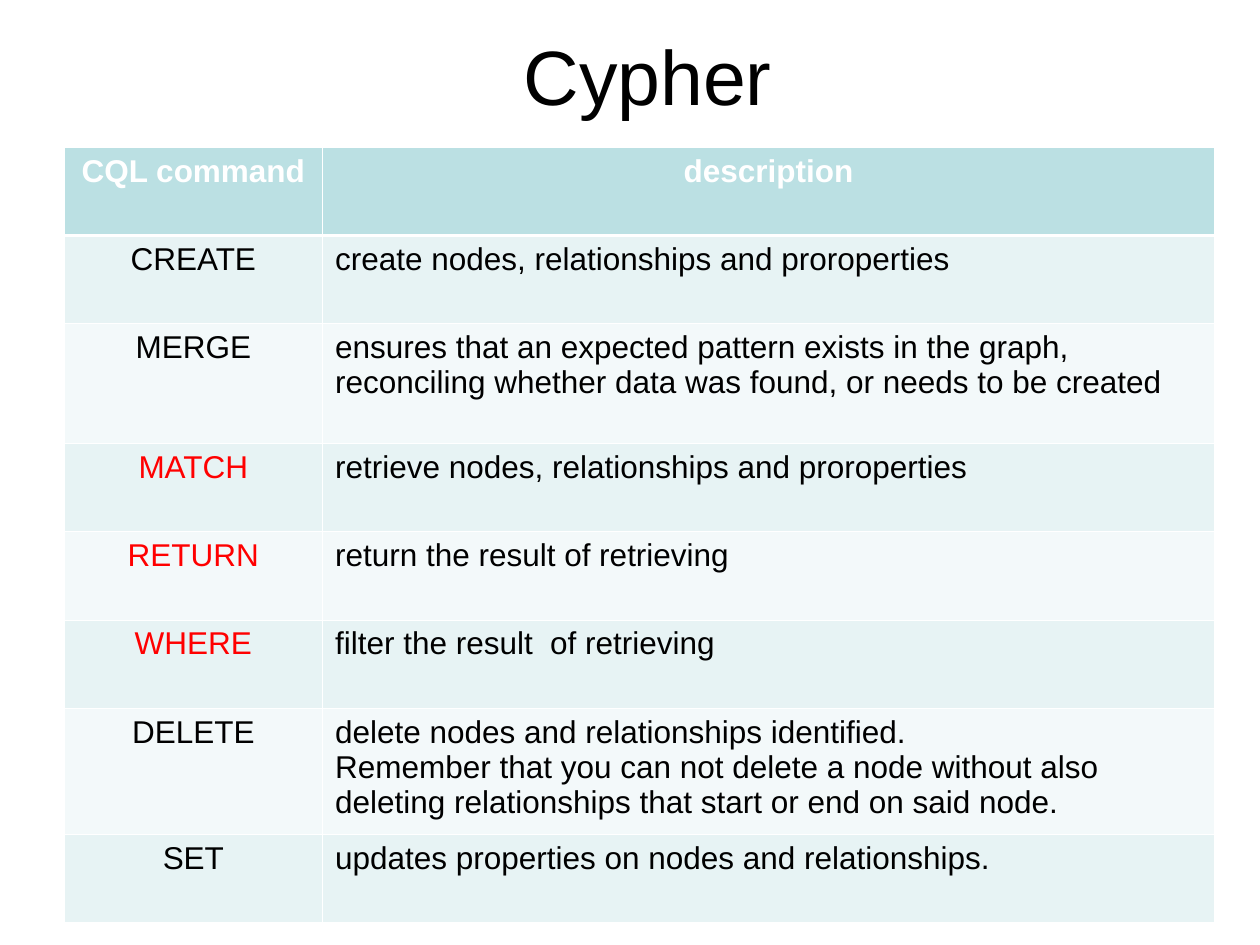
import pptx
import pptx.dml.color
import pptx.enum.text
import pptx.oxml
import pptx.oxml.ns
import pptx.util
from pptx.util import Inches

COLORS = {
    "black": "000000",
    "white": "FFFFFF",
    "red": "FF0000",
    "head": "BBE0E3",
    "odd": "E7F3F4",
    "even": "F3F9FA",
}
HEADS = ["CQL command", "description"]
COMMANDS = [
    ("CREATE", ["create nodes, relationships and proroperties"]),
    ("MERGE", ["ensures that an expected pattern exists in the graph, "
               "reconciling whether data was found, or needs to be created"]),
    ("MATCH", ["retrieve nodes, relationships and proroperties"]),
    ("RETURN", ["return the result of retrieving"]),
    ("WHERE", ["filter the result  of retrieving"]),
    ("DELETE", ["delete nodes and relationships identified.",
                "Remember that you can not delete a node without also "
                "deleting relationships that start or end on said node."]),
    ("SET", ["updates properties on nodes and relationships."]),
]
QUERY = {"MATCH", "RETURN", "WHERE"}
WIDTHS = [2.05, 7.08]
ROW = 0.7
TALL = {"MERGE": 0.95, "DELETE": 1}
THIN, THICK = 0.45, 1.47


class Deck:
    font = "Arial"

    def __init__(self):
        self.prs = pptx.Presentation()
        self.prs.slide_width = Inches(10)
        self.prs.slide_height = Inches(7.5)
        self.slide = self.prs.slides.add_slide(self.prs.slide_layouts[5])

    def text(self, frame, lines, size, color, bold=False, center=False):
        align = pptx.enum.text.PP_ALIGN
        for i, line in enumerate(lines):
            para = frame.add_paragraph() if i else frame.paragraphs[0]
            para.alignment = align.CENTER if center else align.LEFT
            run = para.add_run()
            run.text = line
            run.font.name = self.font
            run.font.size = pptx.util.Pt(size)
            run.font.bold = bold
            run.font.color.rgb = pptx.dml.color.RGBColor.from_string(COLORS[color])

    def title(self, text, left, top, width, height):
        box = self.slide.shapes.title
        box.left, box.top = Inches(left), Inches(top)
        box.width, box.height = Inches(width), Inches(height)
        box.text_frame.vertical_anchor = pptx.enum.text.MSO_ANCHOR.MIDDLE
        self.text(box.text_frame, [text], 44, "black", center=True)

    def table(self, left, top, widths, heights):
        frame = self.slide.shapes.add_table(
            len(heights), len(widths), Inches(left), Inches(top),
            Inches(sum(widths)), Inches(sum(heights)))
        for col, width in zip(frame.table.columns, widths):
            col.width = Inches(width)
        for row, height in zip(frame.table.rows, heights):
            row.height = Inches(height)
        return frame.table

    def cell(self, cell, lines, fill, edges, **style):
        """Fill one cell; edges gives line widths for L, R, T and B."""
        self.text(cell.text_frame, lines, 18, **style)
        props = cell._tc.get_or_add_tcPr()
        for side, width in zip("LRTB", edges):
            props.append(pptx.oxml.parse_xml(
                f'<a:ln{side} {pptx.oxml.ns.nsdecls("a")} w="{pptx.util.Pt(width)}">'
                f'<a:solidFill><a:srgbClr val="{COLORS["white"]}"/></a:solidFill>'
                f'</a:ln{side}>'))
        cell.fill.solid()
        cell.fill.fore_color.rgb = pptx.dml.color.RGBColor.from_string(COLORS[fill])


def main():
    deck = Deck()
    deck.title("Cypher", 0.64, 0.23, 9, 0.72)
    heights = [ROW] + [TALL.get(name, ROW) for name, _ in COMMANDS]
    table = deck.table(0.51, 1.17, WIDTHS, heights)

    for c, head in enumerate(HEADS):
        deck.cell(table.cell(0, c), [head], "head", (THIN, THIN, THIN, THICK),
                  color="white", bold=True, center=True)
    for r, (name, lines) in enumerate(COMMANDS, 1):
        fill = "odd" if r % 2 else "even"
        edges = (THIN, THIN, THICK if r == 1 else THIN, THIN)
        deck.cell(table.cell(r, 0), [name], fill, edges,
                  color="red" if name in QUERY else "black", center=True)
        deck.cell(table.cell(r, 1), lines, fill, edges, color="black")
    deck.prs.save("out.pptx")


if __name__ == "__main__":
    main()
